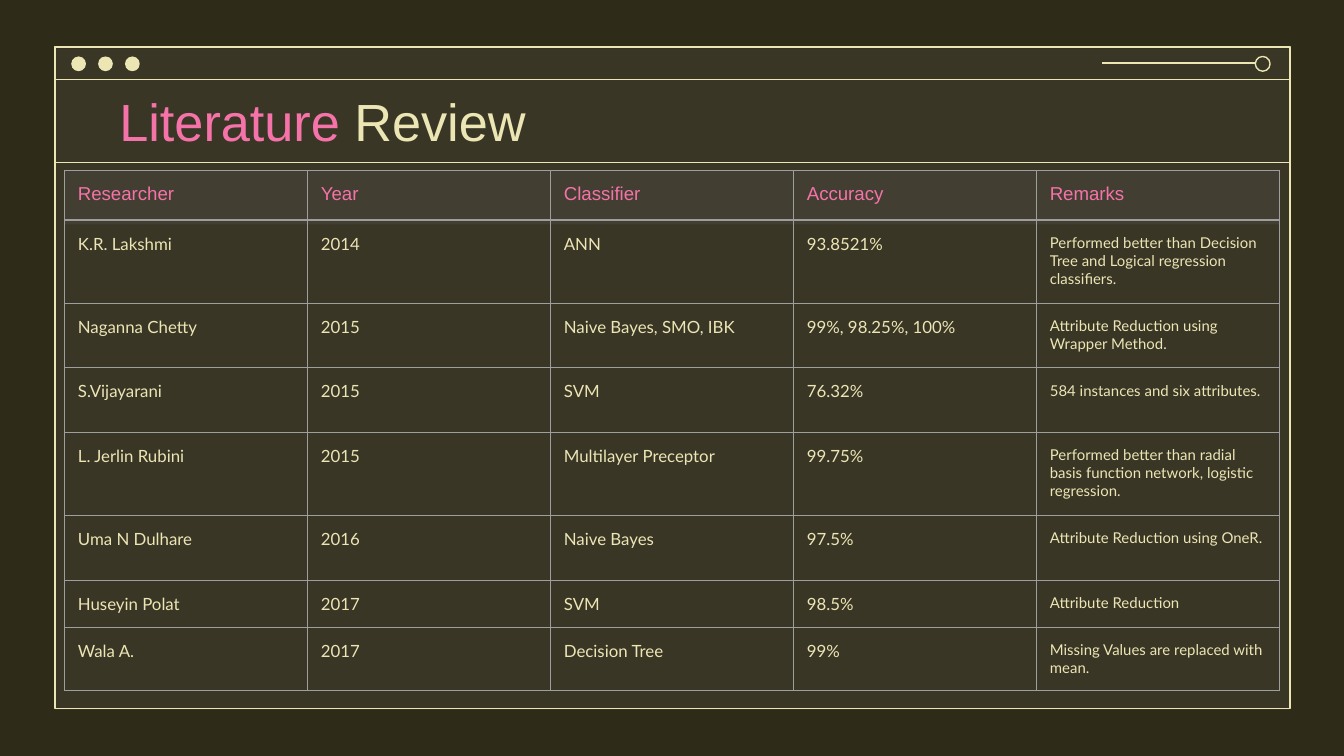
"""Builds the literature review slide: a window frame holding a table of studies."""
from dataclasses import dataclass
from typing import Optional

from lxml.etree import SubElement
from pptx import Presentation
from pptx.dml.color import RGBColor
from pptx.enum.shapes import MSO_CONNECTOR, MSO_SHAPE
from pptx.enum.text import MSO_ANCHOR
from pptx.oxml.ns import qn
from pptx.util import Inches, Pt

COLORS = {
    "background": "2F2B19",
    "cream": "ECE5B4",
    "pink": "F673A9",
    "veil": "7C7C7C",
    "grid": "9E9E9E",
}
SLIDE_WIDTH = 10
SLIDE_HEIGHT = SLIDE_WIDTH * 9 / 16
LINE_WIDTH = Pt(0.75)
MARGIN = Inches(0.1)
DOT_SIZE = 0.11
TABLE_WIDTH = 9.04
ROW_HEIGHTS = [0.35, 0.62, 0.48, 0.48, 0.62, 0.48, 0.35, 0.47]
HEADINGS = ["Researcher", "Year", "Classifier", "Accuracy", "Remarks"]


@dataclass
class Study:
    researcher: str
    year: str
    classifier: str
    accuracy: str
    remarks: str

    def texts(self) -> list[str]:
        return [self.researcher, self.year, self.classifier, self.accuracy, self.remarks]


@dataclass
class Panel:
    left: float
    top: float
    width: float
    height: float
    kind: MSO_SHAPE = MSO_SHAPE.RECTANGLE
    fill: Optional[str] = None
    line: Optional[str] = None
    opacity: int = 100


@dataclass
class Rule:
    left: float
    right: float
    top: float


STUDIES = [
    Study("K.R. Lakshmi", "2014", "ANN", "93.8521%",
          "Performed better than Decision Tree and Logical regression classifiers."),
    Study("Naganna Chetty", "2015", "Naive Bayes, SMO, IBK", "99%, 98.25%, 100%",
          "Attribute Reduction using Wrapper Method."),
    Study("S.Vijayarani", "2015", "SVM", "76.32%", "584 instances and six attributes."),
    Study("L. Jerlin Rubini", "2015", "Multilayer Preceptor", "99.75%",
          "Performed better than radial basis function network, logistic regression."),
    Study("Uma N Dulhare", "2016", "Naive Bayes", "97.5%", "Attribute Reduction using OneR."),
    Study("Huseyin Polat", "2017", "SVM", "98.5%", "Attribute Reduction"),
    Study("Wala A.", "2017", "Decision Tree", "99%", "Missing Values are replaced with mean."),
]
PANELS = [
    Panel(0.41, 0.36, 9.18, 4.92, fill="veil", opacity=14),
    Panel(0.41, 0.35, 9.19, 4.92, line="cream"),
    Panel(0.41, 0.35, 9.19, 0.24, line="cream"),
    *(Panel(0.53 + 0.2 * index, 0.42, DOT_SIZE, DOT_SIZE, MSO_SHAPE.OVAL, fill="cream")
      for index in range(3)),
    Panel(9.34, 0.42, DOT_SIZE, DOT_SIZE, MSO_SHAPE.OVAL, line="cream"),
    Panel(0.48, 1.27, TABLE_WIDTH, 0.4, fill="veil", opacity=14),
]
RULES = [Rule(8.2, 9.34, 0.47), Rule(0.41, 9.59, 1.21)]


def color(name: str) -> RGBColor:
    return RGBColor.from_string(COLORS[name])


def draw_panel(page, panel: Panel) -> None:
    shape = page.shapes.add_shape(
        panel.kind, Inches(panel.left), Inches(panel.top), Inches(panel.width), Inches(panel.height))
    shape.shadow.inherit = False
    if panel.fill:
        shape.fill.solid()
        shape.fill.fore_color.rgb = color(panel.fill)
        if panel.opacity < 100:
            tint = shape.fill._xPr.find(qn("a:solidFill"))[0]
            SubElement(tint, qn("a:alpha"), val=str(panel.opacity * 1000))
    else:
        shape.fill.background()
    if panel.line:
        shape.line.color.rgb = color(panel.line)
        shape.line.width = LINE_WIDTH
    else:
        shape.line.fill.background()


def draw_rule(page, rule: Rule) -> None:
    connector = page.shapes.add_connector(
        MSO_CONNECTOR.STRAIGHT, Inches(rule.left), Inches(rule.top), Inches(rule.right), Inches(rule.top))
    connector.line.color.rgb = color("cream")
    connector.line.width = LINE_WIDTH
    SubElement(connector._element.spPr, qn("a:effectLst"))


def add_text(para, text: str, *, size: float, font: str, tone: str) -> None:
    span = para.add_run()
    span.text = text
    span.font.size = Pt(size)
    span.font.name = font
    span.font.bold = False
    span.font.color.rgb = color(tone)


def set_margins(target) -> None:
    target.margin_left = target.margin_right = MARGIN
    target.margin_top = target.margin_bottom = MARGIN


def draw_title(page) -> None:
    box = page.shapes.add_textbox(Inches(0.79), Inches(0.59), Inches(8.43), Inches(0.62))
    frame = box.text_frame
    frame.word_wrap = True
    frame.vertical_anchor = MSO_ANCHOR.MIDDLE
    set_margins(frame)
    for text, tone in (("Literature ", "pink"), ("Review", "cream")):
        add_text(frame.paragraphs[0], text, size=28, font="Arial", tone=tone)


def style_cell(cell) -> None:
    set_margins(cell)
    properties = cell._tc.get_or_add_tcPr()
    for side in ("lnL", "lnR", "lnT", "lnB"):
        border = SubElement(properties, qn(f"a:{side}"), w=str(LINE_WIDTH))
        fill = SubElement(border, qn("a:solidFill"))
        SubElement(fill, qn("a:srgbClr"), val=COLORS["grid"])
    cell.fill.background()


def draw_table(page) -> None:
    rows = [HEADINGS] + [study.texts() for study in STUDIES]
    table = page.shapes.add_table(
        len(rows), len(HEADINGS), Inches(0.48), Inches(1.27),
        Inches(TABLE_WIDTH), Inches(sum(ROW_HEIGHTS))).table
    table.first_row = table.horz_banding = False
    for column in table.columns:
        column.width = Inches(TABLE_WIDTH / len(HEADINGS))
    for row_index, texts in enumerate(rows):
        table.rows[row_index].height = Inches(ROW_HEIGHTS[row_index])
        for column_index, text in enumerate(texts):
            cell = table.cell(row_index, column_index)
            style_cell(cell)
            para = cell.text_frame.paragraphs[0]
            if row_index == 0:
                add_text(para, text, size=10, font="Arial", tone="pink")
            else:
                size = 8 if HEADINGS[column_index] == "Remarks" else 9
                add_text(para, text, size=size, font="Lato", tone="cream")


def main() -> None:
    deck = Presentation()
    deck.slide_width, deck.slide_height = Inches(SLIDE_WIDTH), Inches(SLIDE_HEIGHT)
    page = deck.slides.add_slide(deck.slide_layouts[6])
    page.background.fill.solid()
    page.background.fill.fore_color.rgb = color("background")
    for panel in PANELS:
        draw_panel(page, panel)
    for rule in RULES:
        draw_rule(page, rule)
    draw_title(page)
    draw_table(page)
    deck.save("out.pptx")


if __name__ == "__main__":
    main()
